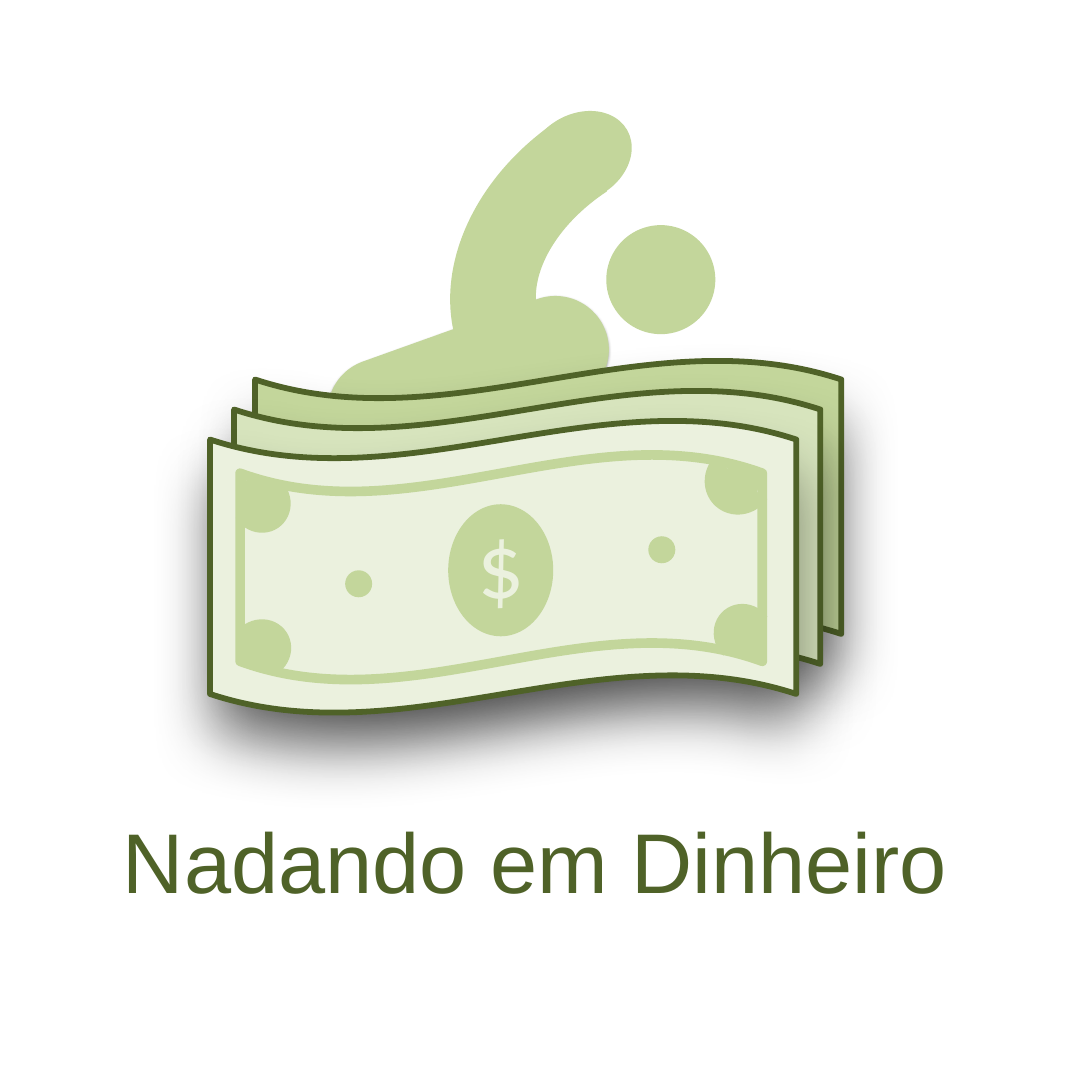
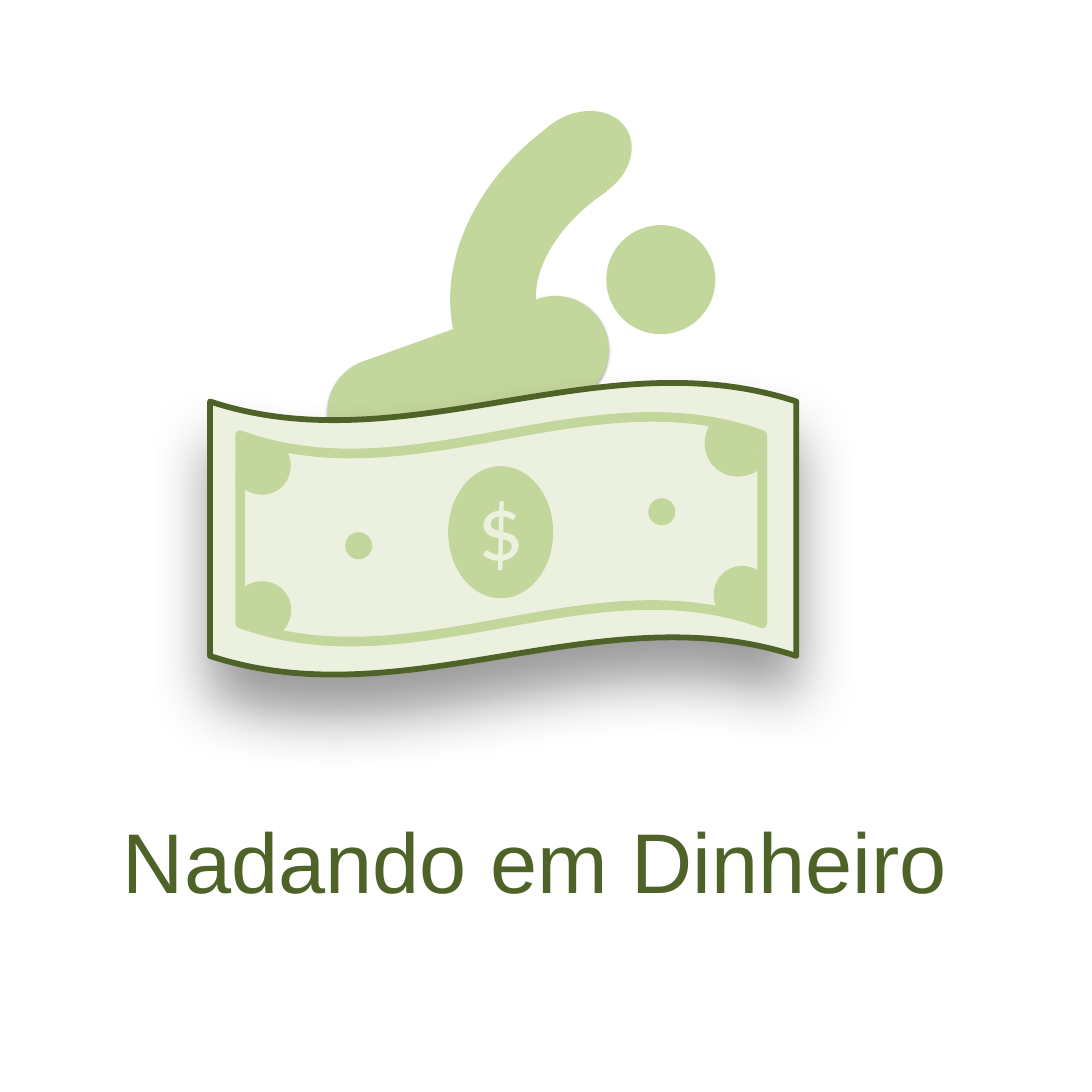
from dataclasses import dataclass, replace
from typing import Optional

from lxml import etree
from pptx import Presentation
from pptx.dml.color import RGBColor
from pptx.enum.shapes import MSO_SHAPE
from pptx.enum.text import MSO_AUTO_SIZE
from pptx.oxml.ns import qn
from pptx.util import Emu, Pt

ELLIPSE, WAVE, PILL = MSO_SHAPE.OVAL, MSO_SHAPE.WAVE, MSO_SHAPE.ROUNDED_RECTANGLE
ARC, TRIANGLE = MSO_SHAPE.BLOCK_ARC, MSO_SHAPE.ISOSCELES_TRIANGLE
FIT_TEXT = MSO_AUTO_SIZE.SHAPE_TO_FIT_TEXT

PX = 914400 / 69.3  # EMU in one pixel
SIZE = Emu(int(15.75 * 914400))
C = {"leaf": "C3D69B", "pale": "D7E4BD", "paper": "EBF1DE",
     "dark": "4F6228", "black": "000000"}


@dataclass(frozen=True)
class Shadow:
    blur: float
    dist: float
    opacity: int


@dataclass(frozen=True)
class Item:
    kind: int
    x: int
    y: int
    w: int
    h: int
    rot: float = 0
    adj: tuple[float, ...] = ()
    fill: Optional[str] = "leaf"
    line: Optional[str] = None
    line_pt: float = 0
    flip: bool = False
    shadow: Optional[Shadow] = None


@dataclass(frozen=True)
class Label:
    text: str
    x: int
    y: int
    w: int
    h: int
    size: int
    font: str
    color: str
    rot: float = 0


def emu(*pixels: int) -> list[Emu]:
    return [Emu(round(p * PX)) for p in pixels]


def rgb(name: str) -> RGBColor:
    return RGBColor.from_string(C[name])


def add_shadow(sp, shadow: Shadow) -> None:
    effects = sp._element.spPr.find(qn("a:effectLst"))
    outer = etree.SubElement(effects, qn("a:outerShdw"), {
        "blurRad": str(Pt(shadow.blur)), "dist": str(Pt(shadow.dist)),
        "dir": "5400000", "rotWithShape": "0"})
    color = etree.SubElement(outer, qn("a:srgbClr"), val=C["black"])
    etree.SubElement(color, qn("a:alpha"), val=str(shadow.opacity * 1000))


def draw(shapes, item: Item, dy: int = 0) -> None:
    sp = shapes.add_shape(item.kind, *emu(item.x, item.y + dy, item.w, item.h))
    sp.rotation = item.rot
    for i, value in enumerate(item.adj):
        sp.adjustments[i] = value
    if item.fill:
        sp.fill.solid()
        sp.fill.fore_color.rgb = rgb(item.fill)
    else:
        sp.fill.background()
    if item.line:
        sp.line.color.rgb = rgb(item.line)
        sp.line.width = Pt(item.line_pt)
    else:
        sp.line.fill.background()
    if item.flip:
        sp._element.spPr.find(qn("a:xfrm")).set("flipH", "1")
    sp.shadow.inherit = False
    if item.shadow:
        add_shadow(sp, item.shadow)


def write(shapes, label: Label, dy: int = 0) -> None:
    sp = shapes.add_textbox(*emu(label.x, label.y + dy, label.w, label.h))
    sp.rotation = label.rot
    tf = sp.text_frame
    tf.word_wrap = False
    tf.auto_size = FIT_TEXT
    tf.text = label.text
    font = tf.paragraphs[0].runs[0].font
    font.size, font.name = Pt(label.size), label.font
    font.color.rgb = rgb(label.color)


# Swimmer
BODY = Item(PILL, 322, 327, 292, 107, 340.3, (0.5,), shadow=Shadow(3.1, 1.8, 35))
HEAD_AND_ARM = (
    Item(ELLIPSE, 606, 225, 109, 109),
    Item(ARC, 439, 86, 446, 347, 330.5, (108, 156.237, 0.249)),
    Item(ELLIPSE, 525, 114, 109, 86, 330.5),
)

# Banknotes, from back to front
FRONT_BILL = Item(WAVE, 210, 420, 586, 293, adj=(0.066, 0), fill="paper",
                  line="dark", line_pt=6, flip=True, shadow=Shadow(62, 41, 40))
BACK_BILLS = (replace(FRONT_BILL, x=255, y=360, fill="leaf"),
              replace(FRONT_BILL, x=234, y=390, fill="pale"))
FRAME = Item(WAVE, 240, 454, 522, 226, adj=(0.084, 0), fill=None,
             line="leaf", line_pt=10, flip=True)

# Ornaments of the front banknote
MEDALLION = Item(ELLIPSE, 448, 504, 105, 132)
DOLLAR = Label("$", 471, 502, 63, 162, 96, "Calibri", "paper", 357)
DOTS = tuple(Item(ELLIPSE, x, y, 27, 27) for x, y in ((345, 570), (648, 536)))
CORNER_ARC = Item(ARC, 231, 471, 59, 62, 145.8, (103.908, 1.337, 0.482))
CORNER_TIP = Item(TRIANGLE, 241, 483, 46, 42, 93.5, (0.079,))
CORNERS = (
    (replace(CORNER_ARC, x=705, y=444, w=68, h=71, rot=221.5),
     replace(CORNER_TIP, x=721, y=471, w=38, h=30, rot=196.2)),
    (CORNER_ARC, CORNER_TIP),
    (replace(CORNER_ARC, y=618, rot=56.7),
     replace(CORNER_TIP, x=239, y=624, rot=4.4)),
    (replace(CORNER_ARC, x=714, y=603, rot=320.7),
     replace(CORNER_TIP, x=716, y=612, rot=268.4)),
)

TITLE = Label("Nadando em Dinheiro", 116, 805, 846, 109, 88, "Arial", "dark")


def build_slide(prs, back_bills: tuple[Item, ...], dy: int) -> None:
    """Draw the swimmer behind the bills, with the front bill moved by dy."""
    shapes = prs.slides.add_slide(prs.slide_layouts[6]).shapes
    for item in (BODY, *back_bills):
        draw(shapes, item)
    for item in (FRONT_BILL, FRAME):
        draw(shapes, item, dy)
    for item in HEAD_AND_ARM:
        draw(shapes, item)
    draw(shapes, MEDALLION, dy)
    write(shapes, DOLLAR, dy)
    for dot in DOTS:
        draw(shapes, dot, dy)
    for corner in CORNERS:
        group = shapes.add_group_shape()
        for item in corner:
            draw(group.shapes, item, dy)
    write(shapes, TITLE)


prs = Presentation()
prs.slide_width = prs.slide_height = SIZE
build_slide(prs, BACK_BILLS, 0)
build_slide(prs, (), -38)
prs.save("out.pptx")
